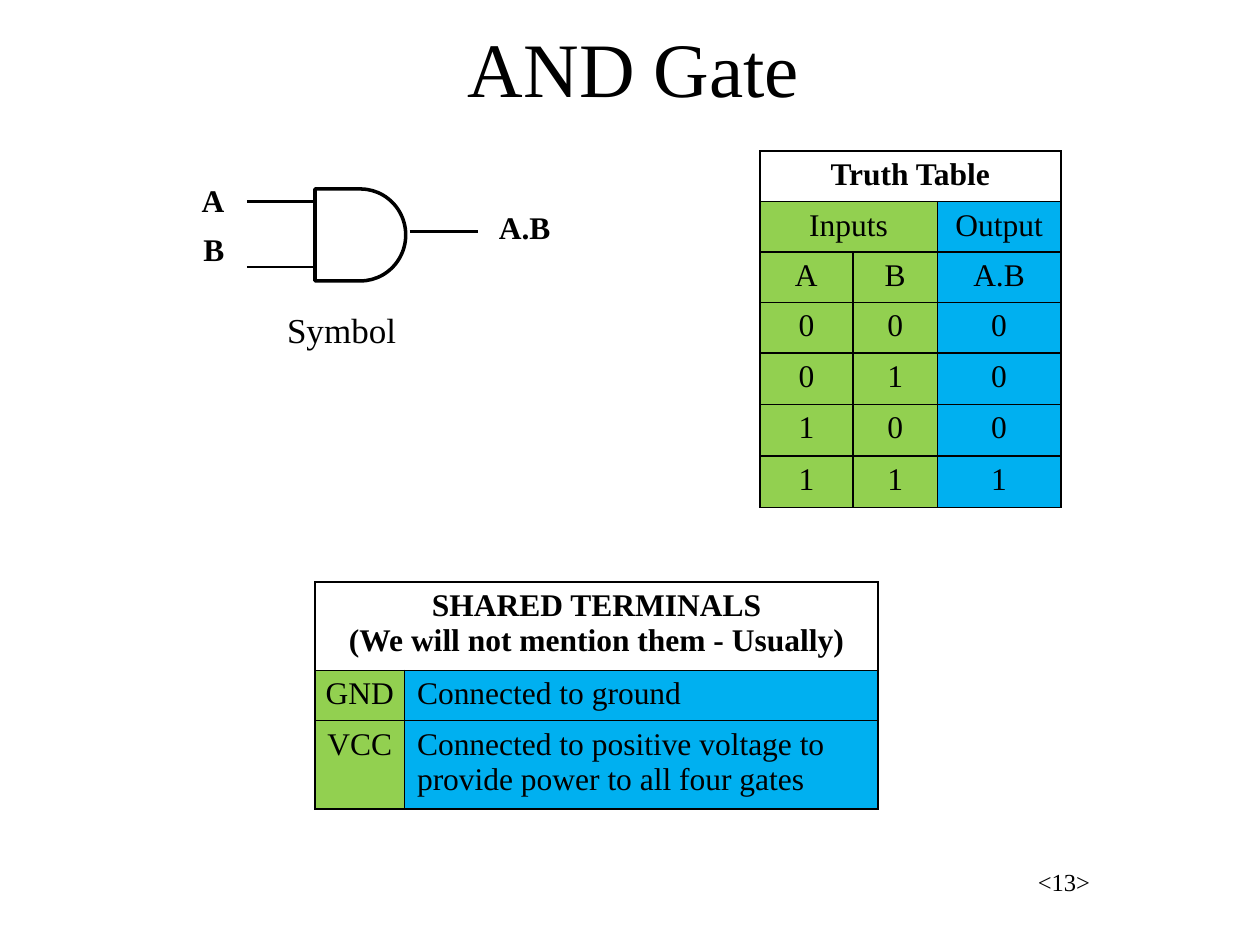
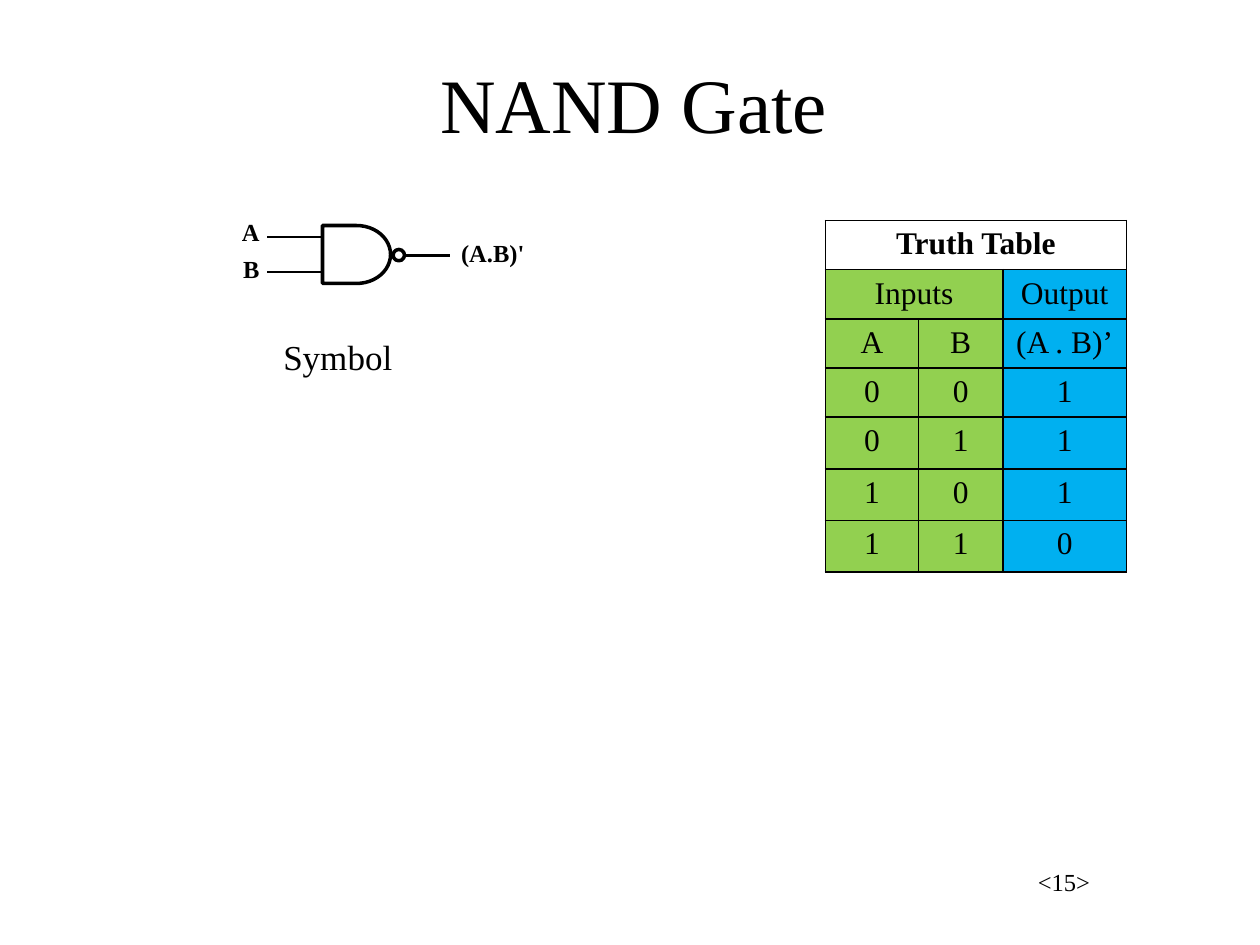
import pptx
import pptx.util
import pptx.dml.color
import pptx.enum.shapes
import pptx.enum.text
import pptx.oxml
import pptx.oxml.ns

Inches, Pt = pptx.util.Inches, pptx.util.Pt
SHAPE = pptx.enum.shapes.MSO_SHAPE
ALIGN = pptx.enum.text.PP_ALIGN
ANCHOR = pptx.enum.text.MSO_ANCHOR

COLORS = {"ink": "000000", "input": "92D050", "output": "00B0F0"}
FONT = "Times New Roman"


def rgb(name):
    return pptx.dml.color.RGBColor.from_string(COLORS[name])


class Deck:
    """Holds the shared style and the slide being built."""

    def __init__(self):
        self.prs = pptx.Presentation()
        self.prs.slide_width, self.prs.slide_height = Inches(10), Inches(7.5)
        self.s = None

    def slide(self, title, title_height, number):
        self.s = self.prs.slides.add_slide(self.prs.slide_layouts[5])
        sp = self.s.shapes.title
        sp.left, sp.top = Inches(0.78), Inches(0.19)
        sp.width, sp.height = Inches(8.5), Inches(title_height)
        tf = sp.text_frame
        tf.auto_size = pptx.enum.text.MSO_AUTO_SIZE.NONE
        tf.vertical_anchor = ANCHOR.MIDDLE
        self.add_lines(tf, title, 44, align=ALIGN.CENTER)
        self.text(f"<{number}>", 6.67, 6.83, 2.08, 0.5, 14, align=ALIGN.RIGHT)

    def add_lines(self, tf, text, size, bold=False, align=ALIGN.LEFT, gap=0, spacing=1.0):
        for i, line in enumerate(text.split("\n")):
            p = tf.paragraphs[0] if i == 0 else tf.add_paragraph()
            p.alignment, p.line_spacing = align, spacing
            p.space_before = Pt(gap if i else 0)
            r = p.add_run()
            r.text = line
            r.font.name, r.font.size, r.font.bold = FONT, Pt(size), bold
            r.font.color.rgb = rgb("ink")

    def text(self, text, x, y, w, h, size, side=0.1, **style):
        sp = self.s.shapes.add_textbox(Inches(x), Inches(y), Inches(w), Inches(h))
        tf = sp.text_frame
        tf.word_wrap = True
        tf.margin_left = tf.margin_right = Inches(side)
        self.add_lines(tf, text, size, **style)

    def outline(self, kind, x, y, w, h):
        sp = self.s.shapes.add_shape(kind, Inches(x), Inches(y), Inches(w), Inches(h))
        sp.shadow.inherit = False
        sp.fill.background()
        sp.line.color.rgb, sp.line.width = rgb("ink"), Pt(2)

    def wire(self, x1, x2, y):
        c = self.s.shapes.add_connector(
            pptx.enum.shapes.MSO_CONNECTOR.STRAIGHT,
            Inches(x1), Inches(y), Inches(x2), Inches(y))
        c.line.color.rgb, c.line.width = rgb("ink"), Pt(1.5)
        c._element.spPr.append(pptx.oxml.parse_xml(
            f"<a:effectLst {pptx.oxml.ns.nsdecls('a')}/>"))

    def gate(self, body, inputs, output, size, labels, result):
        """Gate body, input wires, output wire and the terminal labels."""
        self.outline(SHAPE.FLOWCHART_DELAY, *body)
        x, ys = inputs
        for y in ys:
            self.wire(x, body[0], y)
        self.wire(*output)
        self.text("A\nB", *labels, size, side=0, bold=True,
                  align=ALIGN.RIGHT, gap=size / 3)
        self.text(*result, size, side=0, bold=True)

    def caption(self, x, y):
        self.text("Symbol", x, y, 1.3, 0.42, 20, spacing=0.9)

    def table(self, x, y, widths, heights, rows, spans, left_columns=(), tight_columns=()):
        """The first row is the bold heading; the last column is the output."""
        shape = self.s.shapes.add_table(
            len(heights), len(widths), Inches(x), Inches(y),
            Inches(sum(widths)), Inches(sum(heights)))
        tbl = shape.table
        tbl.first_row = tbl.horz_banding = False
        for column, w in zip(tbl.columns, widths):
            column.width = Inches(w)
        for row, h in zip(tbl.rows, heights):
            row.height = Inches(h)
        for row, column in spans:
            tbl.cell(row, 0).merge(tbl.cell(row, column))
        for i, row in enumerate(rows):
            for j, value in enumerate(row):
                cell = tbl.cell(i, j)
                self.border(cell)
                if i == 0:
                    cell.fill.background()
                else:
                    cell.fill.solid()
                    cell.fill.fore_color.rgb = rgb(
                        "output" if j == len(widths) - 1 else "input")
                cell.margin_top, cell.margin_bottom = Inches(0.05), Inches(0.04)
                if i and j in tight_columns:
                    cell.margin_left = cell.margin_right = Inches(0.04)
                if value is not None:
                    left = i and j in left_columns
                    self.add_lines(cell.text_frame, value, 18, bold=i == 0,
                                   align=ALIGN.LEFT if left else ALIGN.CENTER)

    def border(self, cell):
        tcPr = cell._tc.get_or_add_tcPr()
        for side in "LRTB":
            tcPr.append(pptx.oxml.parse_xml(
                f'<a:ln{side} {pptx.oxml.ns.nsdecls("a")} w="12700"><a:solidFill>'
                f'<a:srgbClr val="{COLORS["ink"]}"/></a:solidFill></a:ln{side}>'))

    def truth_table(self, x, y, head_height, name, function):
        rows = [["Truth Table", None, None], ["Inputs", None, "Output"], ["A", "B", name]]
        rows += [[str(a), str(b), str(function(a, b))] for a in (0, 1) for b in (0, 1)]
        self.table(x, y, [0.74, 0.67, 0.98], [head_height] * 4 + [0.41] * 3,
                   rows, spans=[(0, 2), (1, 1)])


def main():
    deck = Deck()

    # AND gate
    deck.slide("AND Gate", 0.68, 13)
    deck.gate(body=(2.5, 1.5, 0.72, 0.73), inputs=(1.96, (1.6, 2.12)),
              output=(3.25, 3.79, 1.84), size=18,
              labels=(1.5, 1.39, 0.28, 0.79), result=("A.B", 3.96, 1.6, 0.6, 0.4))
    deck.caption(2.18, 2.44)
    deck.truth_table(6.03, 1.2, 0.4, "A.B", lambda a, b: a & b)

    # Terminals shared by all gates
    deck.table(2.5, 4.62, [0.71, 3.76], [0.7, 0.4, 0.7], [
        ["SHARED TERMINALS\n(We will not mention them - Usually)", None],
        ["GND", "Connected to ground"],
        ["VCC", "Connected to positive voltage to provide power to all four gates"],
    ], spans=[(0, 1)], left_columns=(1,), tight_columns=(0,))

    # NAND gate, with the inverting bubble on its output
    deck.slide("NAND Gate", 1.25, 15)
    deck.gate(body=(2.56, 1.79, 0.54, 0.46), inputs=(2.12, (1.88, 2.16)),
              output=(3.21, 3.57, 2.03), size=14,
              labels=(1.8, 1.67, 0.26, 0.64), result=("(A.B)'", 3.66, 1.84, 0.7, 0.33))
    deck.outline(SHAPE.OVAL, 3.12, 1.98, 0.09, 0.09)
    deck.caption(2.15, 2.65)
    deck.truth_table(6.55, 1.75, 0.38, "(A . B)’", lambda a, b: 1 - (a & b))

    deck.prs.save("out.pptx")


if __name__ == "__main__":
    main()
